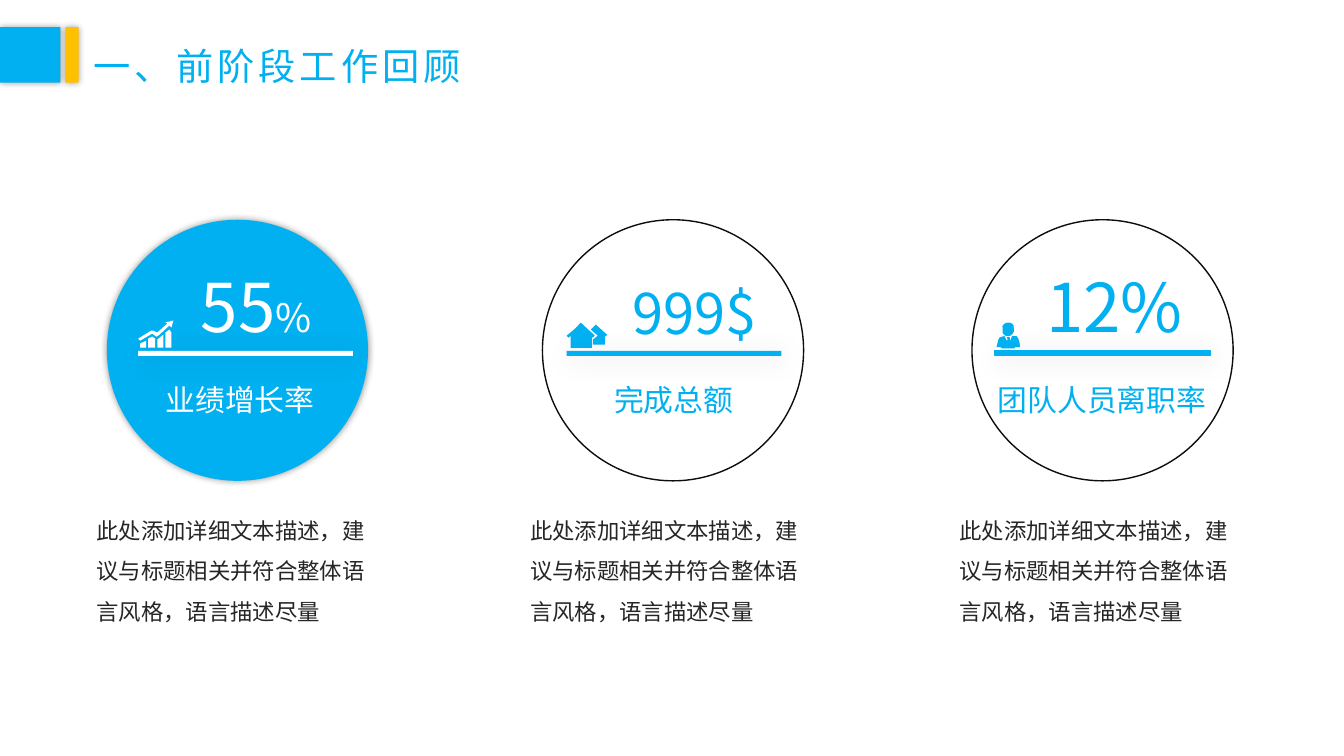
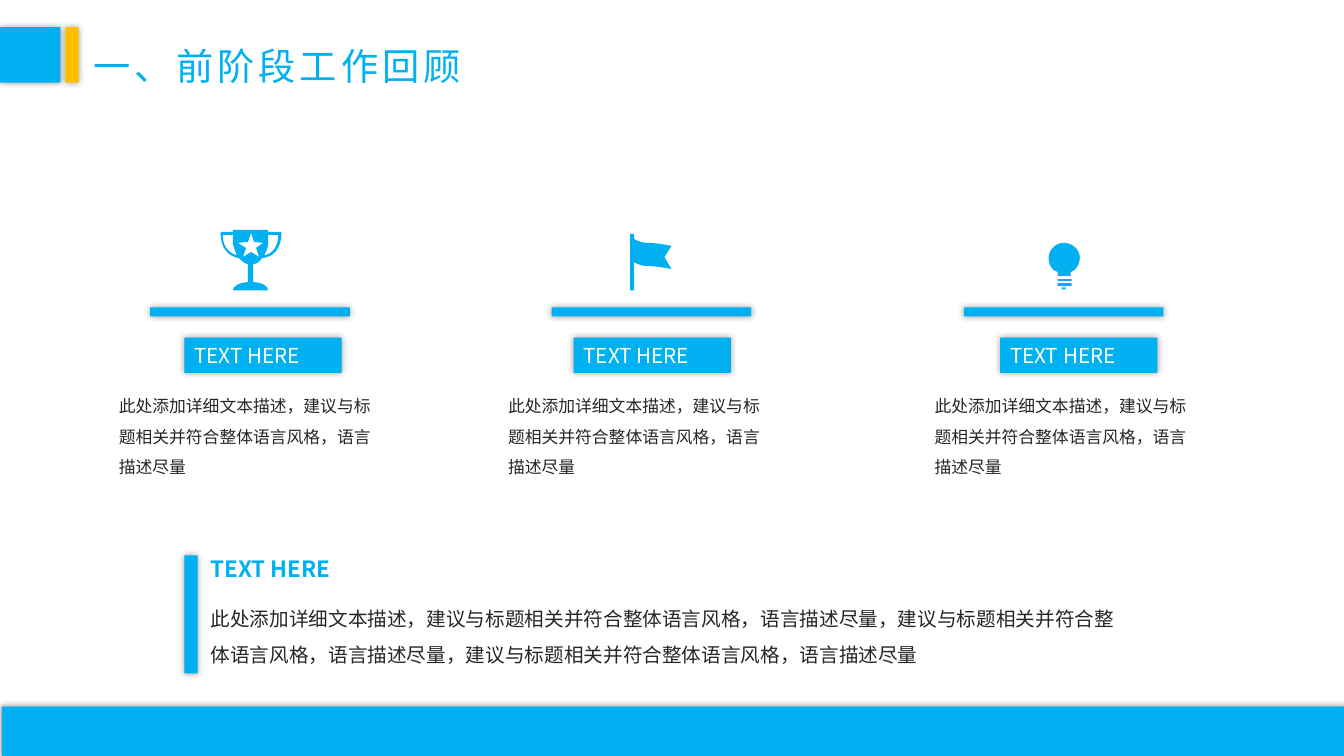
from lxml import etree
from pptx import Presentation
from pptx import util as u
from pptx.dml import color
from pptx.enum import shapes, text
from pptx.oxml import ns

PX = 9144
FONT = "Noto Sans CJK SC"
BLUE, YELLOW, WHITE, INK, OUTLINE = "00B0F0", "FFC000", "FFFFFF", "262626", "0D0D0D"
SOFT = (40, 5, 0, 0)
FAINT = (15, 19, 3, 45)
RECT, OVAL = shapes.MSO_SHAPE.RECTANGLE, shapes.MSO_SHAPE.OVAL
TITLE = "一、前阶段工作回顾"
DETAIL = "此处添加详细文本描述，建议与标题相关并符合整体语言风格，语言描述尽量"
REPEAT = "，建议与标题相关并符合整体语言风格，语言描述尽量"
TAG = "TEXT HERE"

GROWTH = [
    [(147, 345), (154, 345), (154, 336), (151, 334), (147, 336)],
    [(137, 336), (150, 328), (152, 328), (156, 330), (166, 321), (164, 320),
     (172, 318), (170, 325), (168, 323), (157, 333), (155, 334), (151, 331), (139, 338)],
    [(139, 345), (145, 345), (145, 338), (139, 341)],
    [(156, 345), (162, 345), (162, 332), (156, 337)],
    [(164, 345), (170, 345), (170, 330), (168, 327), (164, 330)],
]
HOUSES = [
    [(586, 327), (591, 322), (602, 332), (601, 334), (600, 333), (600, 342),
     (588, 342), (588, 337), (593, 333)],
    [(562, 333), (564, 335), (566, 333), (566, 345), (587, 345), (587, 334),
     (588, 335), (590, 333), (576, 320), (572, 325, 567, 329, 562, 333)],
]
PERSON = [
    [(992, 335), (996, 334), (999, 340), (1000, 336), (999, 335), (1001, 335),
     (1001, 336), (1002, 340), (1004, 334), (1008, 334),
     (1010, 336, 1011, 340, 1011, 344), (1008, 344), (1007, 343), (1006, 345),
     (1003, 345, 997, 345, 994, 345), (992, 343), (992, 344), (989, 344),
     (990, 341, 990, 337, 992, 335)],
    [(995, 330), (995, 327), (994, 324, 995, 323, 996, 322),
     (998, 320, 1002, 320, 1004, 322), (1005, 322, 1005, 324, 1005, 327),
     (1005, 329), (1004, 331, 1002, 333, 1001, 333), (999, 333),
     (997, 333, 996, 332, 995, 330)],
]
TROPHY = [
    [(260, 256), (261, 256, 262, 256, 265, 255), (281, 250, 279, 230, 279, 230),
     (266, 230), (266, 228), (231, 228), (231, 230), (219, 230),
     (219, 230, 217, 250, 233, 255), (235, 256, 236, 256, 237, 256),
     (240, 259, 243, 262, 246, 262), (246, 280), (238, 280, 231, 284, 231, 288),
     (266, 288), (266, 284, 260, 280, 251, 280), (251, 262),
     (255, 262, 257, 260, 260, 256)],
    [(266, 239), (266, 233), (276, 233), (276, 238, 275, 249, 264, 253),
     (262, 253), (265, 249, 266, 244, 266, 239)],
    [(234, 253), (222, 249, 221, 238, 221, 233), (231, 233), (231, 239),
     (231, 244, 233, 249, 235, 253)],
    [(249, 250), (241, 255), (244, 246), (236, 241), (246, 240), (249, 231),
     (252, 240), (261, 241), (254, 246), (257, 255)],
]
FLAG = [
    [(666, 244), (666, 244, 652, 241, 643, 241), (634, 241, 629, 237, 629, 237),
     (629, 232), (625, 232), (625, 288), (629, 288), (629, 260),
     (629, 260, 634, 264, 643, 264), (652, 264, 666, 267, 666, 267), (659, 255)],
]
BULB = [
    [(1071, 256), (1071, 248, 1064, 241, 1055, 241), (1047, 241, 1040, 248, 1040, 256),
     (1040, 263, 1043, 268, 1049, 270), (1049, 274), (1062, 274), (1062, 270),
     (1067, 268, 1071, 263, 1071, 256)],
]
BULB_BASE = [(1053, 285, 4, 2), (1049, 277, 14, 2), (1049, 281, 14, 3)]


def rgb(value):
    return color.RGBColor.from_string(value)


def paint(sp, fill=None, line=None, width=1, shadow=None):
    if fill:
        sp.fill.solid()
        sp.fill.fore_color.rgb = rgb(fill)
    else:
        sp.fill.background()
    if line:
        sp.line.color.rgb = rgb(line)
        sp.line.width = u.Pt(width)
    else:
        sp.line.fill.background()
    sp.shadow.inherit = False
    if shadow:
        alpha, blur, dist, angle = shadow
        effects = sp._element.spPr.find(ns.qn("a:effectLst"))
        outer = etree.SubElement(
            effects, ns.qn("a:outerShdw"), blurRad=str(blur * 12700),
            dist=str(dist * 12700), dir=str(angle * 60000), algn="ctr", rotWithShape="0")
        clr = etree.SubElement(outer, ns.qn("a:srgbClr"), val="000000")
        etree.SubElement(clr, ns.qn("a:alpha"), val=str(alpha * 1000))


def add_block(parent, box, fill=BLUE, kind=RECT, **style):
    sp = parent.add_shape(kind, *(v * PX for v in box))
    paint(sp, fill, **style)
    return sp


def scaled_points(steps):
    return [(step[i] * PX, step[i + 1] * PX)
            for step in steps for i in range(0, len(step), 2)]


def bend(sp, contours):
    segments = iter(list(sp._element.iter(ns.qn("a:lnTo"))))
    for contour in contours:
        for step in contour[1:]:
            segment = next(segments)
            if len(step) == 6:
                segment.tag = ns.qn("a:cubicBezTo")
                for control in (next(segments), next(segments)):
                    segment.append(control[0])
                    control.getparent().remove(control)


def add_icon(parent, contours, fill=BLUE, **style):
    builder = None
    for contour in contours:
        first, *rest = scaled_points(contour)
        if builder is None:
            builder = parent.build_freeform(*first)
        else:
            builder.move_to(*first)
        builder.add_line_segments(rest, close=True)
    sp = builder.convert_to_shape()
    bend(sp, contours)
    paint(sp, fill, **style)


def write(sp, runs, fill, wrap=True, align=text.PP_ALIGN.LEFT, spacing=1.0,
          anchor=text.MSO_ANCHOR.TOP, bold=False, tracking=0):
    tf = sp.text_frame
    tf.word_wrap = wrap
    tf.auto_size = text.MSO_AUTO_SIZE.SHAPE_TO_FIT_TEXT
    tf.vertical_anchor = anchor
    p = tf.paragraphs[0]
    p.alignment = align
    p.line_spacing = spacing
    for words, size in runs:
        r = p.add_run()
        r.text = words
        r.font.size = u.Pt(size)
        r.font.bold = bold
        r.font.color.rgb = rgb(fill)
        r.font.name = FONT
        props = r._r.get_or_add_rPr()
        etree.SubElement(props, ns.qn("a:ea"), typeface=FONT)
        if tracking:
            props.set("spc", str(tracking))


def add_text(parent, box, runs, fill=INK, **style):
    write(parent.add_textbox(*(v * PX for v in box)), runs, fill, **style)


def add_page(prs):
    s = prs.slides.add_slide(prs.slide_layouts[6])
    add_text(s.shapes, (83, 19, 393, 69), [(TITLE, 26.6)], BLUE, wrap=False,
             spacing=1.5, anchor=text.MSO_ANCHOR.MIDDLE, tracking=285)
    add_block(s.shapes, (0, 27, 60, 55), shadow=SOFT)
    add_block(s.shapes, (65, 27, 13, 55), YELLOW, shadow=SOFT)
    return s.shapes


def add_metric(page, left, bar_left, value_box, value, label_left, label,
               icon, filled=False, edge=0):
    parent = page.add_group_shape().shapes
    ink = WHITE if filled else BLUE
    circle = (left, 218, 259, 259)
    if filled:
        add_block(parent, circle, kind=OVAL, shadow=SOFT)
    border = ink if edge else None
    add_block(parent, (bar_left, 348, 213, 5), ink, line=border, shadow=FAINT)
    add_icon(parent, icon, ink, line=border, width=edge)
    center = text.PP_ALIGN.CENTER
    add_text(parent, value_box, value, ink, wrap=False, align=center)
    add_text(parent, (label_left, 374, len(label) * 30 + 20, 46), [(label, 21.3)],
             ink, wrap=False, align=center)
    if not filled:
        add_block(parent, circle, None, OVAL, line=OUTLINE)


def add_topic(page, tag_left):
    tag = add_block(page, (tag_left, 335, 156, 35), shadow=SOFT)
    write(tag, [(TAG, 14.7)], WHITE, wrap=False)
    add_text(page, (tag_left - 75, 378, 272, 98), [(DETAIL, 12)], spacing=1.5)


def add_review(prs):
    page = add_page(prs)
    add_metric(page, 106, 137, (172, 258, 164, 91), [("55", 48), ("%", 28)],
               153, "业绩增长率", GROWTH, filled=True)
    add_metric(page, 538, 562, (579, 271, 220, 77), [("999$", 40)],
               598, "完成总额", HOUSES)
    add_metric(page, 964, 987, (1026, 258, 159, 91), [("12%", 48)],
               978, "团队人员离职率", PERSON, edge=0.75)
    for left in (86, 516, 942):
        add_text(page, (left, 495, 304, 131), [(DETAIL, 16)], spacing=1.5)


def add_topics(prs):
    page = add_page(prs)
    for left in (149, 547, 956):
        add_block(page, (left, 305, 198, 9), shadow=SOFT)
    add_block(page, (2, 701, 1333, 49), shadow=SOFT)
    add_icon(page, TROPHY)
    add_icon(page, FLAG)
    bulb = page.add_group_shape().shapes
    for box in BULB_BASE:
        add_block(bulb, box)
    add_icon(bulb, BULB)
    for left in (183, 569, 992):
        add_topic(page, left)
    add_text(page, (199, 586, 922, 81), [(DETAIL + REPEAT * 2, 14)], spacing=1.5)
    add_text(page, (199, 546, 166, 37), [(TAG, 16)], BLUE, wrap=False, bold=True)
    add_block(page, (183, 551, 13, 117), shadow=SOFT)


def main():
    prs = Presentation()
    prs.slide_width, prs.slide_height = 1333 * PX, 750 * PX
    add_review(prs)
    add_topics(prs)
    prs.save("out.pptx")


if __name__ == "__main__":
    main()
